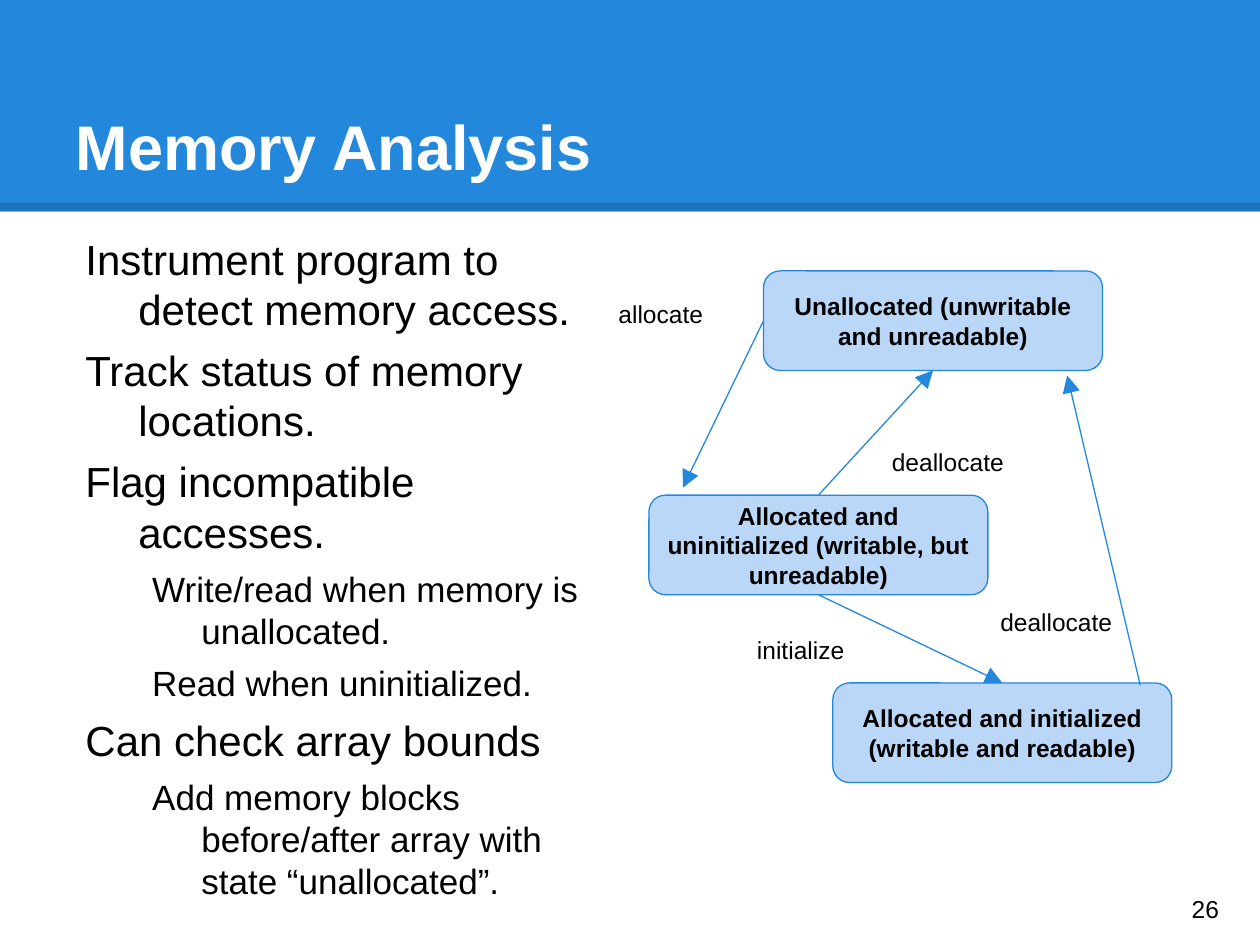
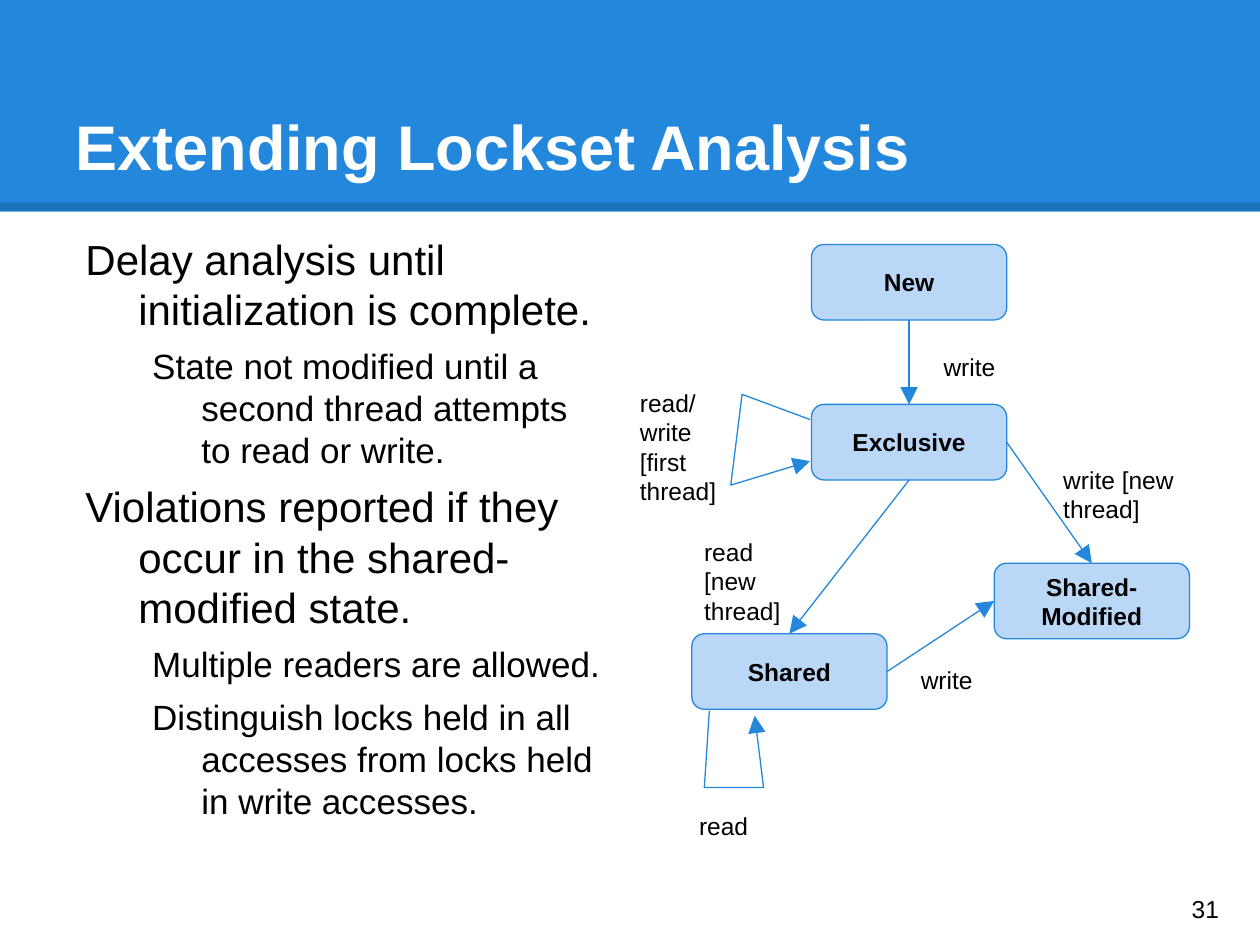
from lxml import etree
from pptx import Presentation
from pptx.dml.color import RGBColor
from pptx.enum.shapes import MSO_CONNECTOR, MSO_SHAPE
from pptx.enum.text import MSO_ANCHOR, MSO_AUTO_SIZE, PP_ALIGN
from pptx.oxml.ns import qn
from pptx.util import Emu, Pt

RECT, ROUND = MSO_SHAPE.RECTANGLE, MSO_SHAPE.ROUNDED_RECTANGLE
LINE = MSO_CONNECTOR.STRAIGHT
TOP, MIDDLE, BOTTOM = MSO_ANCHOR.TOP, MSO_ANCHOR.MIDDLE, MSO_ANCHOR.BOTTOM
LEFT, CENTER = PP_ALIGN.LEFT, PP_ALIGN.CENTER
FIXED = MSO_AUTO_SIZE.NONE

# Lengths are px, 100 to the inch
UNIT = 9144
FONT = "Arial"
BLUE, PALE, BLACK, WHITE = "2388DB", "BBD7F8", "000000", "FFFFFF"
# Connection sites of a box
N, W, S, E = range(4)
# Body levels: text size, left margin, first-line indent
LEVELS = [(24, 50, -42), (20, 100, -39)]


def px(*vals):
    return [Emu(round(v * UNIT)) for v in vals]


def color(code):
    return RGBColor.from_string(code)


def put(item, vals):
    for key, val in vals.items():
        setattr(item, key, val)


class Deck:
    def __init__(self):
        self.prs = Presentation()
        put(self.prs, dict(zip(("slide_width", "slide_height"), px(1000, 750))))
        self.layout = self.prs.slide_layouts.get_by_name("Title Only")
        self.slide = None

    def page(self, title, num):
        first = self.slide is None
        self.slide = self.prs.slides.add_slide(self.layout)
        self.shapes = self.slide.shapes
        if first:
            self.band()
        head = self.shapes.title
        put(head, dict(zip(("left", "top", "width", "height"), px(50, 30, 900, 125))))
        self.words(head, [title], 36, WHITE, True, BOTTOM)
        self.label(str(num), 936, 693, 60, 57, MIDDLE)

    def band(self):
        """Draw the title band once and keep it on the layout."""
        bar = self.shapes.add_shape(RECT, *px(0, 0, 1000, 168))
        bar.shadow.inherit = False
        self.fill(bar, BLUE)
        bar.line.fill.background()
        edge = self.line((0, 164), (1000, 164), BLACK, 4.5)
        tone = edge.line._get_or_add_ln().find(".//" + qn("a:srgbClr"))
        etree.SubElement(tone, qn("a:alpha"), val="15000")
        for i, part in enumerate((bar, edge)):
            node = part._element
            node.xpath("./*/p:cNvPr")[0].set("id", str(90 + i))
            self.layout.shapes._spTree.insert(2 + i, node)

    def fill(self, shape, code):
        shape.fill.solid()
        shape.fill.fore_color.rgb = color(code)

    def stroke(self, shape, code=BLUE, width=0.75):
        shape.line.color.rgb = color(code)
        shape.line.width = Pt(width)

    def words(self, shape, paras, size=14, code=BLACK, bold=False, anchor=TOP, align=LEFT):
        frame = shape.text_frame
        put(frame, {"word_wrap": True, "auto_size": FIXED, "vertical_anchor": anchor})
        put(frame, {f"margin_{side}": px(10)[0] for side in ("left", "right", "top", "bottom")})
        for i, text in enumerate(paras):
            para = frame.paragraphs[0] if i == 0 else frame.add_paragraph()
            para.text = text
            para.alignment = align
            put(para.font, {"name": FONT, "size": Pt(size), "bold": bold})
            para.font.color.rgb = color(code)
        return frame

    def label(self, text, x, y, w, h, anchor=TOP):
        area = self.shapes.add_textbox(*px(x, y, w, h))
        self.words(area, text.split("\n"), anchor=anchor)

    def body(self, items):
        area = self.shapes.add_textbox(*px(50, 175, 437, 543))
        frame = self.words(area, [text for _, text in items])
        for i, (para, (level, _)) in enumerate(zip(frame.paragraphs, items)):
            size, left, dent = LEVELS[level]
            put(para, {"level": level, "space_before": Pt(6 if i else 0)})
            para.font.size = Pt(size)
            props = para._p.get_or_add_pPr()
            for key, val in (("marL", left), ("indent", dent)):
                props.set(key, str(val * UNIT))

    def box(self, text, x, y, w, h):
        node = self.shapes.add_shape(ROUND, *px(x, y, w, h))
        node.shadow.inherit = False
        self.fill(node, PALE)
        self.stroke(node)
        self.words(node, [text], bold=True, anchor=MIDDLE, align=CENTER)
        return node

    def line(self, start, end, code=BLUE, width=0.75):
        rule = self.shapes.add_connector(LINE, *px(*start, *end))
        self.stroke(rule, code, width)
        etree.SubElement(rule._element.spPr, qn("a:effectLst"))
        return rule

    def tip(self, shape):
        ln = shape.line._get_or_add_ln()
        etree.SubElement(ln, qn("a:tailEnd"), type="triangle", w="lg", len="lg")

    def arrow(self, start, end):
        """Each end is a point or a pair of box and site."""
        ends = [(0, 0) if hasattr(e[0], "shape_id") else e for e in (start, end)]
        rule = self.line(*ends)
        for spot, join in ((start, rule.begin_connect), (end, rule.end_connect)):
            if hasattr(spot[0], "shape_id"):
                join(*spot)
        self.tip(rule)

    def loop(self, start, *points):
        pen = self.shapes.build_freeform(*start, scale=UNIT)
        pen.add_line_segments(points, close=False)
        route = pen.convert_to_shape()
        route.shadow.inherit = False
        route.fill.background()
        self.stroke(route)
        self.tip(route)


def memory(deck):
    deck.page("Memory Analysis", 26)
    deck.body([
        (0, "Instrument program to detect memory access."),
        (0, "Track status of memory locations."),
        (0, "Flag incompatible accesses."),
        (1, "Write/read when memory is unallocated."),
        (1, "Read when uninitialized."),
        (0, "Can check array bounds"),
        (1, "Add memory blocks before/after array with state “unallocated”."),
    ])
    # States
    free, raw, ready = [deck.box(text, x, y, 269, 79) for text, x, y in (
        ("Unallocated (unwritable and unreadable)", 606, 215),
        ("Allocated and uninitialized (writable, but unreadable)", 515, 393),
        ("Allocated and initialized (writable and readable)", 661, 542),
    )]
    # Moves between states
    deck.arrow((free, W), (542, 387))
    deck.arrow((raw, N), (free, S))
    deck.arrow((raw, S), (ready, N))
    deck.arrow((905, 544), (847, 298))
    for spot in (
        ("allocate", 481, 227, 99, 39),
        ("deallocate", 698, 345, 112, 23),
        ("initialize", 591, 494, 106, 39),
        ("deallocate", 784, 472, 112, 23),
    ):
        deck.label(*spot)


def lockset(deck):
    deck.page("Extending Lockset Analysis", 31)
    deck.body([
        (0, "Delay analysis until initialization is complete."),
        (1, "State not modified until a second thread attempts to read or write."),
        (0, "Violations reported if they occur in the shared-modified state."),
        (1, "Multiple readers are allowed."),
        (1, "Distinguish locks held in all accesses from locks held in write accesses."),
    ])
    # States
    new, sole, shared, mixed = [deck.box(text, x, y, 155, 60) for text, x, y in (
        ("New", 644, 194),
        ("Exclusive", 644, 321),
        ("Shared", 549, 503),
        ("Shared-\vModified", 789, 447),
    )]
    # Moves between states
    deck.arrow((new, S), (sole, N))
    deck.arrow((sole, S), (shared, N))
    deck.arrow((shared, E), (mixed, W))
    deck.arrow((sole, E), (mixed, N))
    deck.loop((643, 333), (589, 313), (580, 385), (643, 366))
    deck.loop((563, 564), (559, 625), (606, 625), (599, 568))
    for spot in (
        ("write", 739, 269, 87, 30),
        ("read/\vwrite\n[first thread]", 498, 298, 82, 34),
        ("read [new thread]", 549, 416, 100, 22),
        ("read", 545, 634, 77, 43),
        ("write", 721, 518, 77, 30),
        ("write [new thread]", 834, 359, 116, 48),
    ):
        deck.label(*spot)


def main():
    deck = Deck()
    memory(deck)
    lockset(deck)
    deck.prs.save("out.pptx")


if __name__ == "__main__":
    main()
